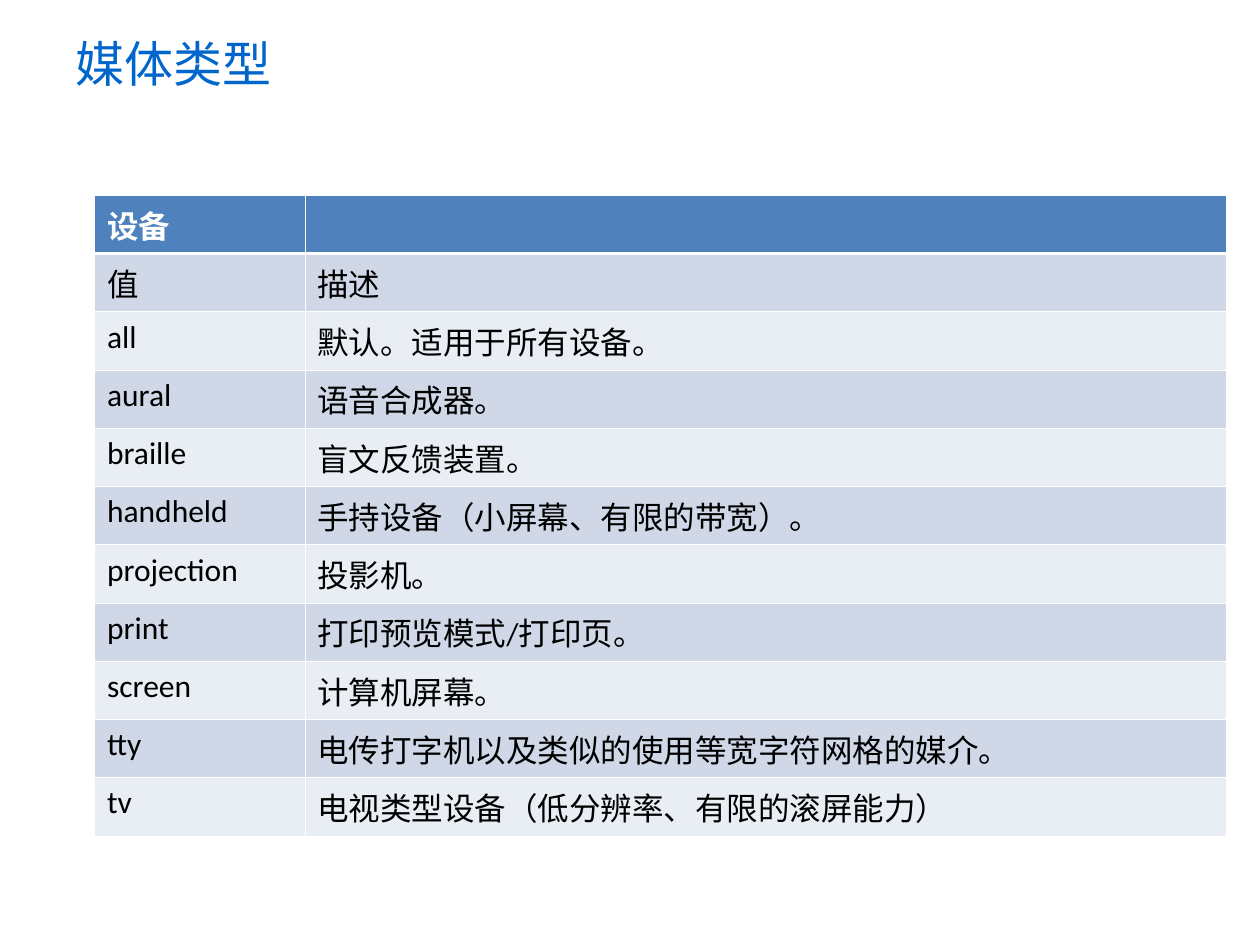
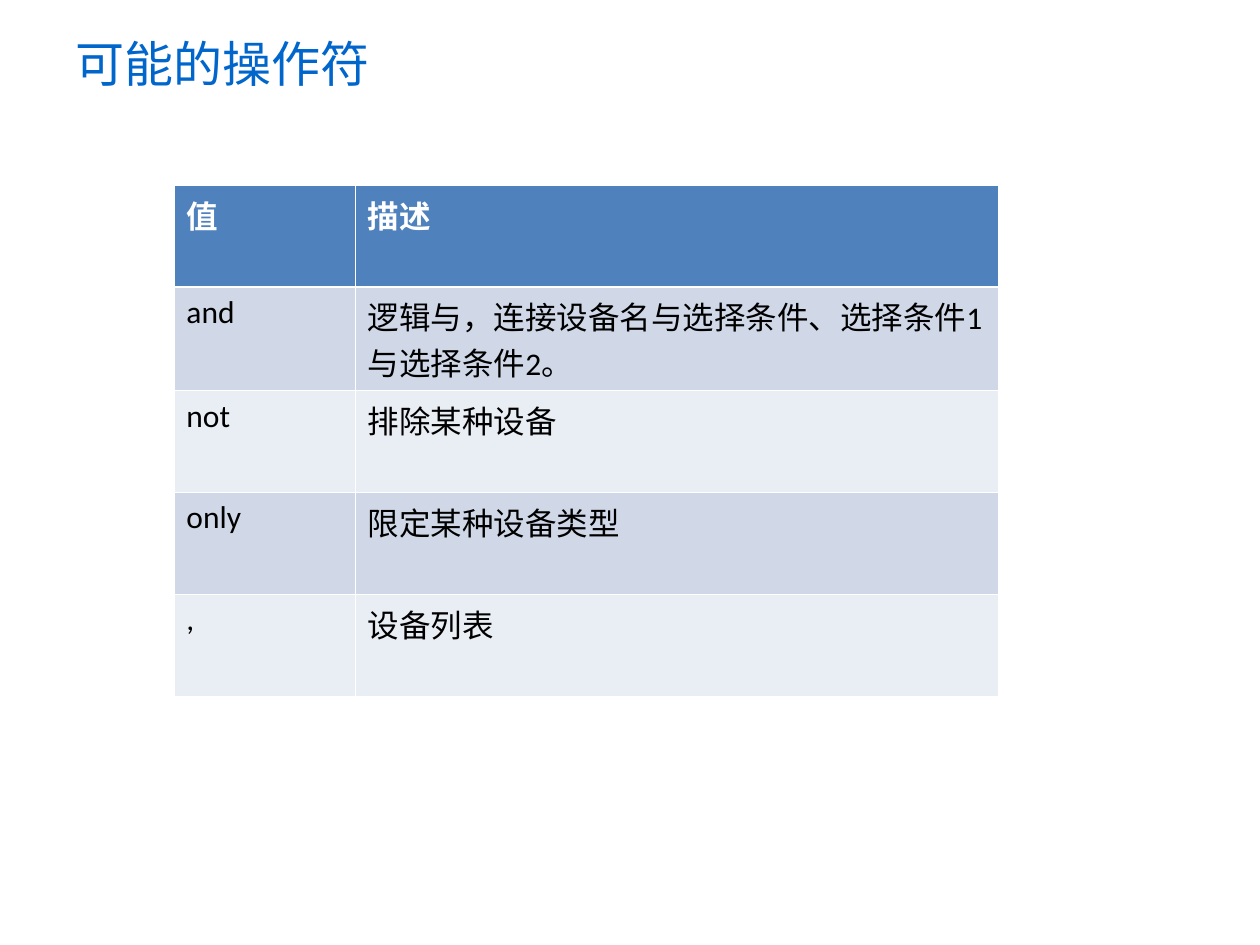
"""Build two slides of CSS media types and media query operators."""
from lxml import etree
from pptx import Presentation
from pptx import util as u
from pptx.dml.color import RGBColor
from pptx.enum import text
from pptx.oxml.ns import qn

TITLE_BLUE = RGBColor(0x00, 0x66, 0xCC)
HEADER_BLUE = RGBColor(0x4F, 0x81, 0xBD)
BANDS = [RGBColor(0xE9, 0xED, 0xF4), RGBColor(0xD0, 0xD8, 0xE8)]
WHITE = RGBColor(0xFF, 0xFF, 0xFF)
BLACK = RGBColor(0x00, 0x00, 0x00)
THIN, THICK = 0.45, 1.47

SLIDES = [
    ("媒体类型", (0.75, 1.55), (1.67, 7.31), 4.8, [
        ("设备", ""),
        ("值", "描述"),
        ("all", "默认。适用于所有设备。"),
        ("aural", "语音合成器。"),
        ("braille", "盲文反馈装置。"),
        ("handheld", "手持设备（小屏幕、有限的带宽）。"),
        ("projection", "投影机。"),
        ("print", "打印预览模式/打印页。"),
        ("screen", "计算机屏幕。"),
        ("tty", "电传打字机以及类似的使用等宽字符网格的媒介。"),
        ("tv", "电视类型设备（低分辨率、有限的滚屏能力）"),
    ]),
    ("可能的操作符", (1.38, 1.47), (1.44, 5.1), 4.04, [
        ("值", "描述"),
        ("and", "逻辑与，连接设备名与选择条件、选择条件1与选择条件2。"),
        ("not", "排除某种设备"),
        ("only", "限定某种设备类型"),
        (",", "设备列表"),
    ]),
]


def set_font(p, name, size, color, bold=False):
    p.font.name = name
    p.font.size = u.Pt(size)
    p.font.color.rgb = color
    p.font.bold = bold


def add_borders(cell, row):
    tcPr = cell._tc.get_or_add_tcPr()
    widths = {"L": THIN, "R": THIN,
              "T": THICK if row == 1 else THIN,
              "B": THICK if row == 0 else THIN}
    for i, (side, width) in enumerate(widths.items()):
        ln = etree.Element(qn(f"a:ln{side}"), w=str(u.Pt(width)))
        fill = etree.SubElement(ln, qn("a:solidFill"))
        etree.SubElement(fill, qn("a:srgbClr"), val=str(WHITE))
        tcPr.insert(i, ln)


prs = Presentation()
prs.slide_width, prs.slide_height = u.Inches(10), u.Inches(7.5)

for heading, (left, top), columns, height, rows in SLIDES:
    s = prs.slides.add_slide(prs.slide_layouts.get_by_name("Title Only"))
    title = s.shapes.title
    title.left, title.top = u.Inches(0.5), 0
    title.width, title.height = u.Inches(7.65), u.Inches(1)
    tf = title.text_frame
    tf.text = heading
    tf.auto_size = text.MSO_AUTO_SIZE.NONE
    tf.vertical_anchor = text.MSO_ANCHOR.MIDDLE
    p = tf.paragraphs[0]
    p.alignment = text.PP_ALIGN.LEFT
    set_font(p, "Arial", 28, TITLE_BLUE)

    table = s.shapes.add_table(
        len(rows), len(columns), u.Inches(left), u.Inches(top),
        u.Inches(sum(columns)), u.Inches(height)).table
    for column, width in zip(table.columns, columns):
        column.width = u.Inches(width)
    for r, values in enumerate(rows):
        for c, value in enumerate(values):
            cell = table.cell(r, c)
            cell.text = value
            cell.fill.solid()
            cell.fill.fore_color.rgb = BANDS[r % 2] if r else HEADER_BLUE
            set_font(cell.text_frame.paragraphs[0], "Calibri", 18,
                     BLACK if r else WHITE, r == 0)
            add_borders(cell, r)

prs.save("out.pptx")
